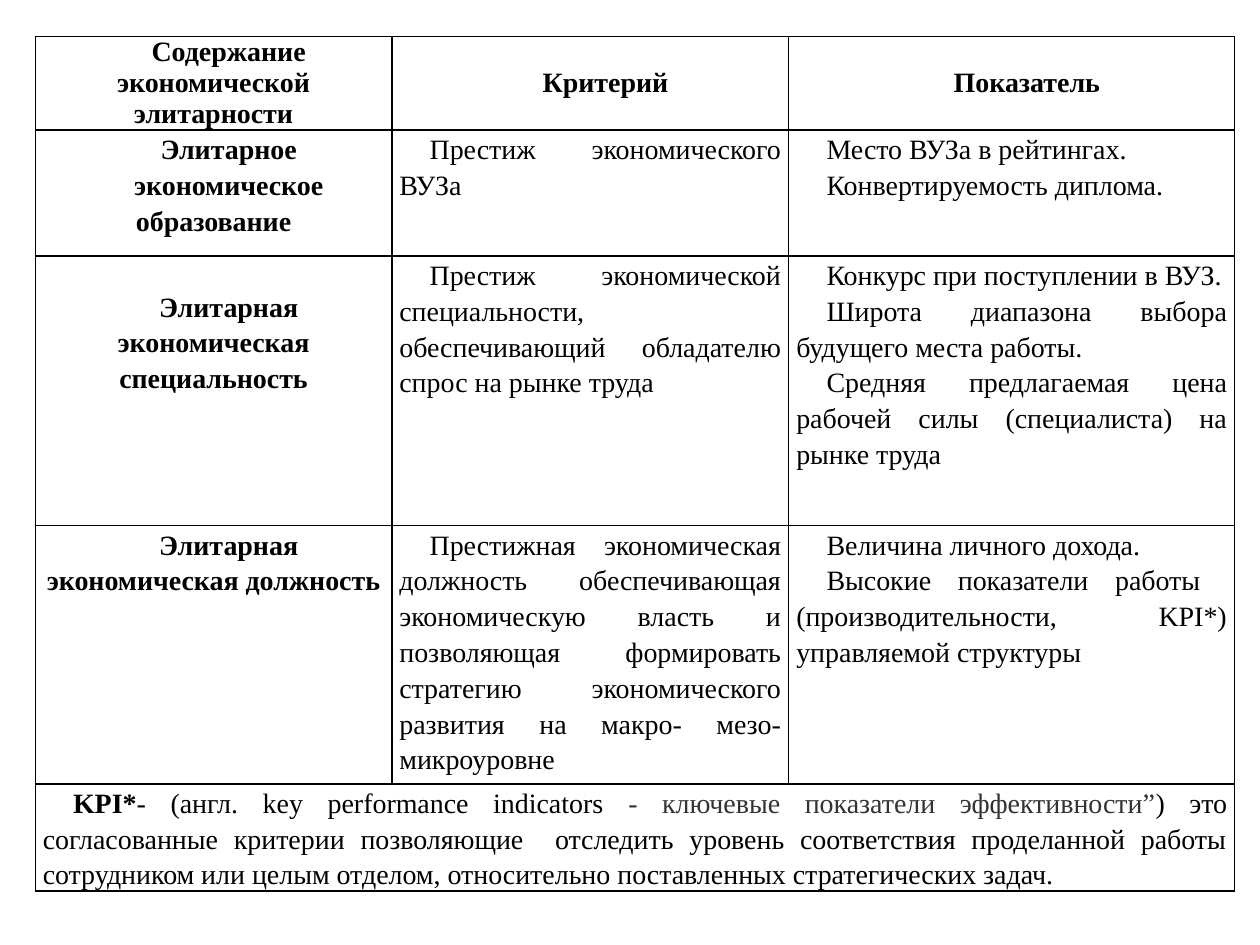
from lxml import etree
from pptx import Presentation
from pptx.dml.color import RGBColor
from pptx.enum.text import MSO_ANCHOR, PP_ALIGN
from pptx.oxml.ns import qn
from pptx.util import Inches, Pt

CENTER, JUSTIFY = PP_ALIGN.CENTER, PP_ALIGN.JUSTIFY
MIDDLE = MSO_ANCHOR.MIDDLE
FONT = "Times New Roman"
COLORS = {"ink": "000000", "muted": "333333"}
COLUMN_WIDTHS = [2.83, 3.15, 3.54]
ROW_HEIGHTS = [0.66, 1, 2.14, 2.05, 0.71]
BORDER_SIDES = ("a:lnL", "a:lnR", "a:lnT", "a:lnB")

HEADINGS = ["Содержание экономической элитарности", "Критерий", "Показатель"]
CRITERIA = [
    (
        ["Элитарное", "экономическое образование"],
        ["Престиж экономического ВУЗа"],
        ["Место ВУЗа в рейтингах.", "Конвертируемость диплома."],
    ),
    (
        ["Элитарная экономическая специальность"],
        ["Престиж экономической специальности, обеспечивающий обладателю "
         "спрос на рынке труда"],
        ["Конкурс при поступлении в ВУЗ.",
         "Широта диапазона выбора будущего места работы.",
         "Средняя предлагаемая цена рабочей силы (специалиста) на рынке труда"],
    ),
    (
        ["Элитарная экономическая должность"],
        ["Престижная экономическая должность обеспечивающая экономическую "
         "власть и позволяющая формировать стратегию экономического развития "
         "на макро- мезо- микроуровне"],
        ["Величина личного дохода.",
         "Высокие показатели работы  (производительности, KPI*) "
         "управляемой структуры"],
    ),
]
FOOTNOTE = [
    ("KPI*", True, "ink"),
    ("- (англ. key performance indicators", False, "ink"),
    (" - ключевые показатели эффективности”", False, "muted"),
    (") это согласованные критерии позволяющие  отследить уровень соответствия "
     "проделанной работы сотрудником или целым отделом, относительно "
     "поставленных стратегических задач.", False, "ink"),
]


def style_cell(cell):
    """Clear the fill, set the margins and draw thin black borders."""
    cell.margin_left = cell.margin_right = Inches(0.06)
    cell.margin_top = cell.margin_bottom = 0
    properties = cell._tc.get_or_add_tcPr()
    for side in BORDER_SIDES:
        border = etree.SubElement(properties, qn(side), w=str(Pt(1)))
        fill = etree.SubElement(border, qn("a:solidFill"))
        etree.SubElement(fill, qn("a:srgbClr"), val=COLORS["ink"])
    cell.fill.background()


def write_cell(cell, paragraphs, align, spacing=1.15):
    """Write paragraphs, each a list of (text, bold, colour) runs."""
    frame = cell.text_frame
    for index, runs in enumerate(paragraphs):
        paragraph = frame.add_paragraph() if index else frame.paragraphs[0]
        paragraph.alignment = align
        paragraph.line_spacing = spacing
        properties = paragraph._p.get_or_add_pPr()
        properties.set("marL", "0")
        properties.set("indent", str(Inches(0.24)))
        for text, bold, color in runs:
            run = paragraph.add_run()
            run.text = text
            run.font.name = FONT
            run.font.size = Pt(16)
            run.font.bold = bold
            run.font.color.rgb = RGBColor.from_string(COLORS[color])


def add_criteria_table(slide):
    """Add the empty bordered table and return it."""
    table = slide.shapes.add_table(
        len(ROW_HEIGHTS), len(COLUMN_WIDTHS), Inches(0.28), Inches(0.29),
        Inches(sum(COLUMN_WIDTHS)), Inches(sum(ROW_HEIGHTS)),
    ).table
    table.first_row = table.horz_banding = False
    for column, width in zip(table.columns, COLUMN_WIDTHS):
        column.width = Inches(width)
    for row, height in zip(table.rows, ROW_HEIGHTS):
        row.height = Inches(height)
    for cell in table.iter_cells():
        style_cell(cell)
    return table


def fill_criteria_table(table):
    """Write the headings, the criteria rows and the footnote."""
    for column, heading in enumerate(HEADINGS):
        cell = table.cell(0, column)
        cell.vertical_anchor = MIDDLE
        write_cell(cell, [[(heading, True, "ink")]], CENTER, 1.0)
    for row, contents in enumerate(CRITERIA, start=1):
        for column, lines in enumerate(contents):
            is_label = column == 0
            paragraphs = [[(line, is_label, "ink")] for line in lines]
            align = CENTER if is_label else JUSTIFY
            write_cell(table.cell(row, column), paragraphs, align)
    table.cell(2, 0).margin_top = Inches(0.25)
    last_row = len(ROW_HEIGHTS) - 1
    footnote = table.cell(last_row, 0)
    footnote.merge(table.cell(last_row, len(COLUMN_WIDTHS) - 1))
    write_cell(footnote, [FOOTNOTE], JUSTIFY)


def main():
    """Build and save the slide."""
    presentation = Presentation()
    presentation.slide_width = Inches(10)
    presentation.slide_height = Inches(7.5)
    slide = presentation.slides.add_slide(presentation.slide_layouts[6])
    fill_criteria_table(add_criteria_table(slide))
    presentation.save("out.pptx")


if __name__ == "__main__":
    main()
